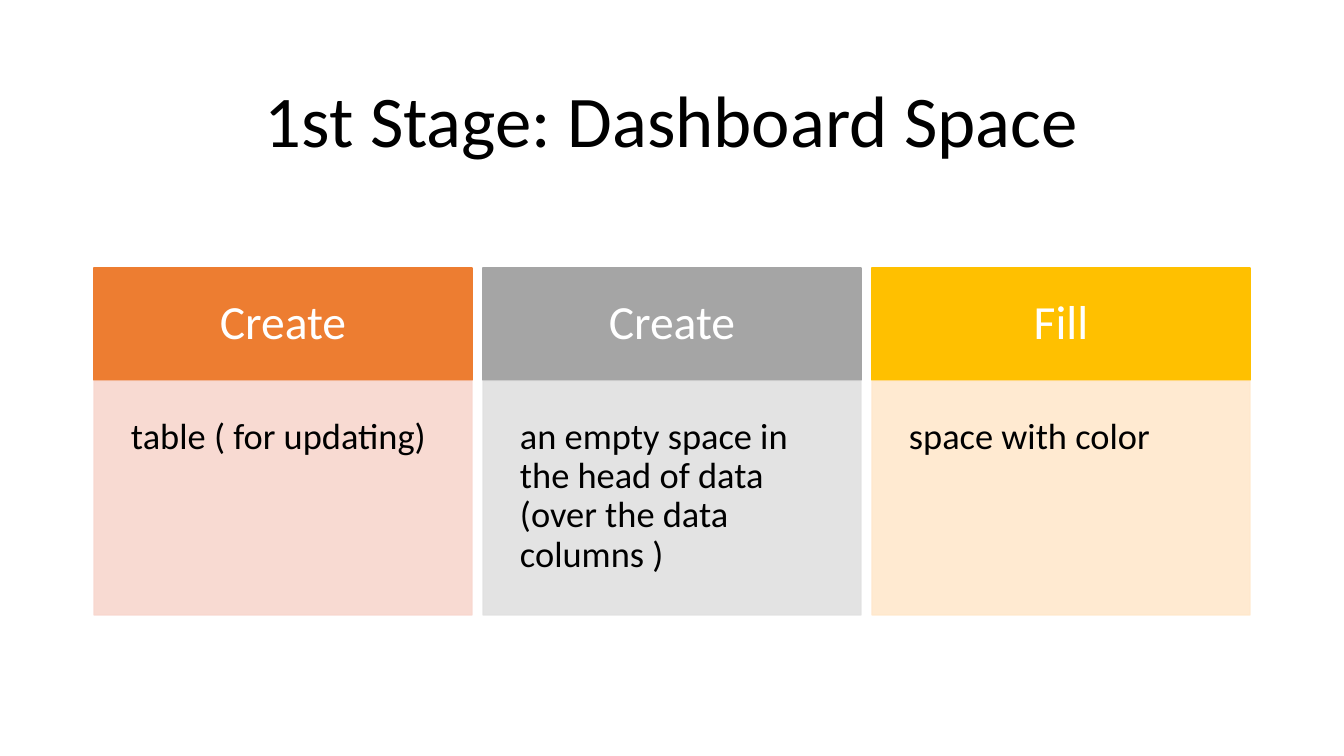
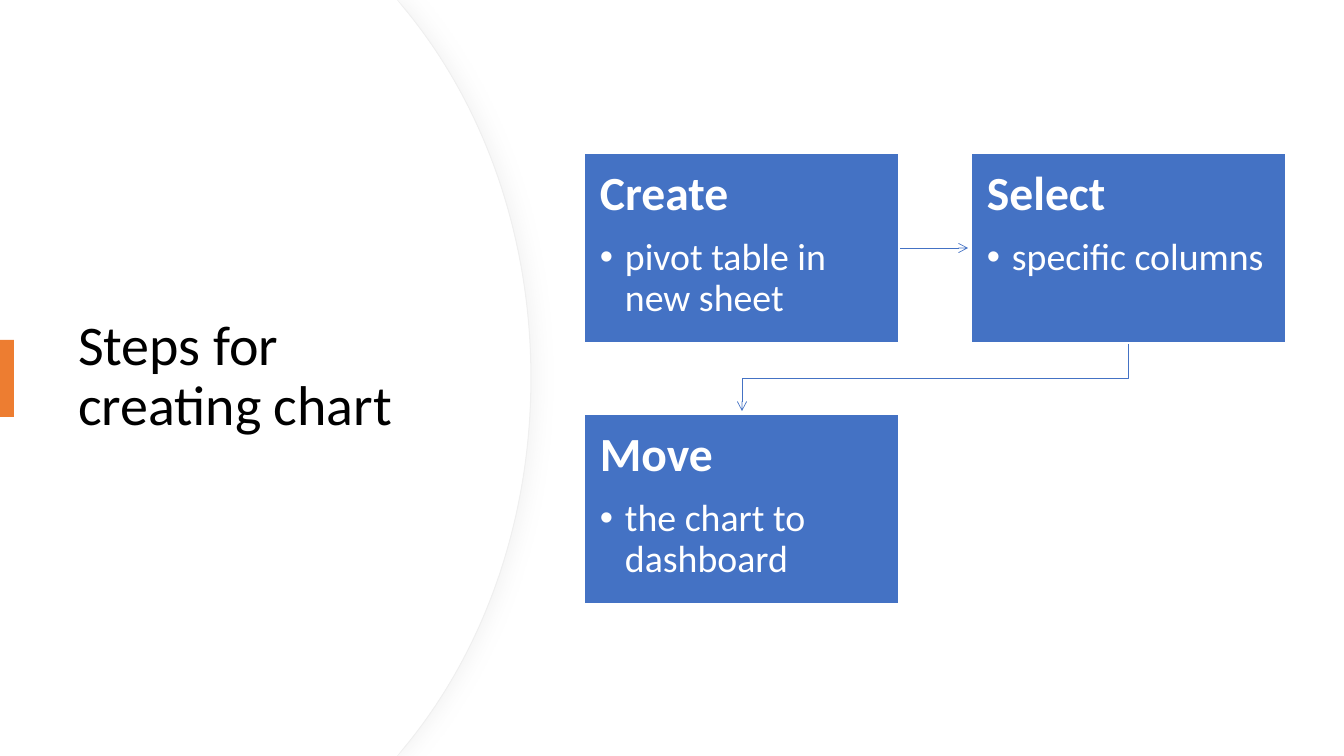
import lxml.etree
import pptx
import pptx.dml.color
import pptx.enum.shapes
import pptx.enum.text
import pptx.oxml.ns
import pptx.util

RGBColor = pptx.dml.color.RGBColor
Align = pptx.enum.text.PP_ALIGN
Anchor = pptx.enum.text.MSO_ANCHOR
qn = pptx.oxml.ns.qn

BLACK = RGBColor(0x00, 0x00, 0x00)
WHITE = RGBColor(0xFF, 0xFF, 0xFF)
ORANGE = RGBColor(0xED, 0x7D, 0x31)
GREY = RGBColor(0xA5, 0xA5, 0xA5)
GOLD = RGBColor(0xFF, 0xC0, 0x00)
BLUE = RGBColor(0x44, 0x72, 0xC4)
PALE_ORANGE = RGBColor(0xF8, 0xD7, 0xCE)
PALE_GREY = RGBColor(0xE1, 0xE1, 0xE1)
PALE_GOLD = RGBColor(0xFF, 0xE8, 0xCC)
PANEL_EDGE = RGBColor(0xEF, 0xEF, 0xEF)
PANEL_SHADOW = RGBColor(0xD9, 0xD9, 0xD9)

SLIDE_WIDTH, SLIDE_HEIGHT = 1344, 756
EMU_PER_PIXEL = 914400 / 100.8
FONT = "Calibri"


def emu(pixels):
    """Turn pixels into EMU."""
    return pptx.util.Emu(round(pixels * EMU_PER_PIXEL))


def add_xml(parent, tag, **attributes):
    """Append a child element with the given attributes."""
    values = {name: str(value) for name, value in attributes.items()}
    return lxml.etree.SubElement(parent, qn(tag), values)


def write(paragraph, text, size, color, bold=False, align=Align.LEFT,
          space_after=0, bullet_indent=0):
    """Fill a paragraph with formatted text, bulleted if it has an indent."""
    paragraph.alignment = align
    paragraph.line_spacing = 0.9
    paragraph.space_before = pptx.util.Pt(0)
    paragraph.space_after = pptx.util.Pt(space_after)
    run = paragraph.add_run()
    run.text = text
    run.font.name = FONT
    run.font.size = pptx.util.Pt(size)
    run.font.bold = bold
    run.font.color.rgb = color
    if bullet_indent:
        properties = paragraph._p.get_or_add_pPr()
        properties.set("marL", str(emu(bullet_indent)))
        properties.set("indent", str(-emu(bullet_indent)))
        add_xml(properties, "a:buFont", typeface="Arial")
        add_xml(properties, "a:buChar", char="•")


def bend(shape, first, count):
    """Turn count triples of line segments, from the first on, into curves."""
    segments = list(shape.element.spPr.iter(qn("a:lnTo")))
    for start in range(first, first + 3 * count, 3):
        triple = segments[start:start + 3]
        cubic = lxml.etree.Element(qn("a:cubicBezTo"))
        triple[0].addprevious(cubic)
        for segment in triple:
            cubic.append(segment[0])
            segment.getparent().remove(segment)


class Deck:
    """Holds the presentation, its style and the current slide."""

    def __init__(self):
        """Start a widescreen presentation."""
        self.presentation = pptx.Presentation()
        self.presentation.slide_width = emu(SLIDE_WIDTH)
        self.presentation.slide_height = emu(SLIDE_HEIGHT)
        self.slide = None

    def new_slide(self):
        """Add a slide with the title-only layout."""
        layout = self.presentation.slide_layouts.get_by_name("Title Only")
        self.slide = self.presentation.slides.add_slide(layout)

    def title(self, text, left, top, width, height, size, align):
        """Fill and place the title, above what is already drawn."""
        shape = self.slide.shapes.title
        shape.left, shape.top = emu(left), emu(top)
        shape.width, shape.height = emu(width), emu(height)
        frame = shape.text_frame
        frame.auto_size = pptx.enum.text.MSO_AUTO_SIZE.NONE
        frame.vertical_anchor = Anchor.MIDDLE
        write(frame.paragraphs[0], text, size=size, color=BLACK, align=align)
        shape.element.getparent().append(shape.element)

    def paint(self, shape, fill=None, line=None, line_width=1, opacity=100):
        """Set fill, line and opacity, and remove the shadow."""
        shape.shadow.inherit = False
        if fill is None:
            shape.fill.background()
        else:
            shape.fill.solid()
            shape.fill.fore_color.rgb = fill
        if line is None:
            shape.line.fill.background()
        else:
            shape.line.color.rgb = line
            shape.line.width = pptx.util.Pt(line_width)
        if opacity < 100:
            for color in shape.element.spPr.iter(qn("a:srgbClr")):
                add_xml(color, "a:alpha", val=opacity * 1000)

    def box(self, left, top, width, height, fill, line=None, opacity=100,
            insets=(0, 0), anchor=Anchor.TOP, paragraphs=()):
        """Draw a rectangle holding (text, format) paragraphs."""
        shape = self.slide.shapes.add_shape(
            pptx.enum.shapes.MSO_SHAPE.RECTANGLE,
            emu(left), emu(top), emu(width), emu(height))
        self.paint(shape, fill, line, opacity=opacity)
        frame = shape.text_frame
        frame.word_wrap = True
        frame.vertical_anchor = anchor
        frame.margin_left = frame.margin_right = emu(insets[0])
        frame.margin_top = frame.margin_bottom = emu(insets[1])
        for index, (text, style) in enumerate(paragraphs):
            paragraph = frame.add_paragraph() if index else frame.paragraphs[0]
            write(paragraph, text, **style)

    def outline(self, points, close, **style):
        """Draw a freeform through the points."""
        scaled = [(emu(x), emu(y)) for x, y in points]
        builder = self.slide.shapes.build_freeform(*scaled[0], scale=1.0)
        builder.add_line_segments(scaled[1:], close=close)
        shape = builder.convert_to_shape()
        self.paint(shape, **style)
        return shape

    def side_panel(self, right, shoulder, line=None, shadow=None):
        """Draw the white panel with a bulging right edge."""
        upper = [(0, 0), (397, 0), (shoulder, 8), (shoulder + 79, 103), (right, 234)]
        lower = [(x, SLIDE_HEIGHT - y) for x, y in reversed(upper)]
        points = [*upper, (right, SLIDE_HEIGHT / 2), *lower]
        shape = self.outline(points, True, fill=WHITE, line=line, line_width=0.75)
        bend(shape, first=2, count=2)
        if shadow:
            effects = shape.element.spPr.find(qn("a:effectLst"))
            outer = add_xml(effects, "a:outerShdw", blurRad=pptx.util.Pt(14),
                            dist=pptx.util.Pt(3), dir=0, algn="l", rotWithShape=0)
            color = add_xml(outer, "a:srgbClr", val=shadow)
            add_xml(color, "a:alpha", val=30000)

    def arrow(self, points):
        """Draw a thin arrow: a connector, or a path when it has bends."""
        if len(points) == 2:
            (left, top), (right, bottom) = points
            shape = self.slide.shapes.add_connector(
                pptx.enum.shapes.MSO_CONNECTOR.STRAIGHT,
                emu(left), emu(top), emu(right), emu(bottom))
            shape.line.color.rgb = BLUE
            shape.line.width = pptx.util.Pt(0.5)
            add_xml(shape.element.spPr, "a:effectLst")
        else:
            shape = self.outline(points, False, line=BLUE, line_width=0.5)
        add_xml(shape.element.spPr.find(qn("a:ln")), "a:tailEnd", type="arrow")


def build_dashboard_space(deck):
    """Build the slide with three headed columns."""
    deck.new_slide()
    deck.title("1st Stage: Dashboard Space", 92, 61, 1159, 125, size=52, align=Align.CENTER)
    columns = (
        ("Create", "table\u00a0( for updating)", ORANGE, PALE_ORANGE),
        ("Create", "an empty space in the head of data (over the data columns )",
         GREY, PALE_GREY),
        ("Fill", "space with color", GOLD, PALE_GOLD),
    )
    width, gap = 378, 11
    heading_style = dict(size=34, color=WHITE, align=Align.CENTER)
    detail_style = dict(size=26, color=BLACK)
    for index, (heading, detail, strong, pale) in enumerate(columns):
        left = 94 + index * (width + gap)
        deck.box(left, 268, width, 112, strong, line=strong, insets=(30, 30),
                 anchor=Anchor.MIDDLE, paragraphs=[(heading, heading_style)])
        deck.box(left, 381, width, 234, pale, line=pale, opacity=90,
                 insets=(37, 37), paragraphs=[(detail, detail_style)])


def build_chart_steps(deck):
    """Build the slide with three linked steps."""
    deck.new_slide()
    deck.side_panel(right=531, shoulder=404, line=PANEL_EDGE, shadow=PANEL_SHADOW)
    deck.side_panel(right=530, shoulder=403)
    deck.title("Steps for creating chart", 68, 128, 397, 499, size=40, align=Align.LEFT)
    deck.box(0, 340, 14, 77, ORANGE)
    steps = (
        ("Create", "pivot table in new sheet"),
        ("Select", "specific columns"),
        ("Move", "the chart to dashboard"),
    )
    heading_style = dict(size=34, color=WHITE, bold=True, space_after=12.5)
    detail_style = dict(size=27, color=WHITE, space_after=4, bullet_indent=25)
    deck.arrow([(899, 248), (968, 248)])
    deck.arrow([(1128, 342), (1128, 378), (742, 378), (742, 411)])
    for index, (heading, detail) in enumerate(steps):
        row, column = divmod(index, 2)
        deck.box(584 + column * 387, 153 + row * 261, 315, 190, BLUE, line=WHITE,
                 insets=(16, 16),
                 paragraphs=[(heading, heading_style), (detail, detail_style)])


def main():
    """Build and save the presentation."""
    deck = Deck()
    build_dashboard_space(deck)
    build_chart_steps(deck)
    deck.presentation.save("out.pptx")


main()
